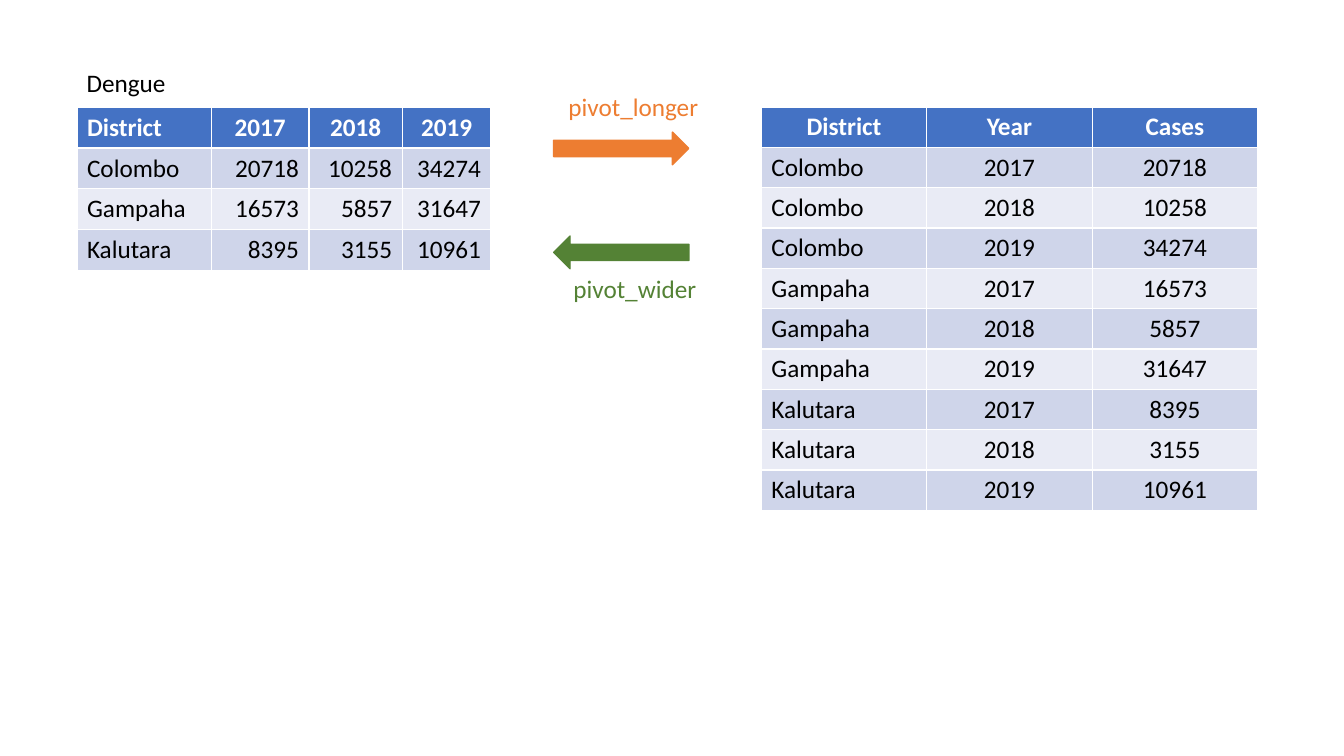
"""Build a slide that shows dengue cases pivoted between wide and long tables."""
import pptx
import pptx.dml.color
import pptx.enum.shapes
import pptx.enum.text
import pptx.util

Pt = pptx.util.Pt
ALIGN = pptx.enum.text.PP_ALIGN
BLUE, ORANGE, GREEN = "4472C4", "ED7D31", "548235"
BLACK, WHITE = "000000", "FFFFFF"
BANDS = ["CFD5EA", "E9EBF5"]


def paint(color_format, color):
    color_format.rgb = pptx.dml.color.RGBColor.from_string(color)


def write(frame, text, color=BLACK, bold=False, align=ALIGN.LEFT):
    paragraph = frame.paragraphs[0]
    paragraph.alignment = align
    run = paragraph.add_run()
    run.text = text
    run.font.name = "Calibri"
    run.font.size = Pt(18)
    run.font.bold = bold
    paint(run.font.color, color)


deck = pptx.Presentation()
deck.slide_width, deck.slide_height = Pt(960), Pt(540)
slide = deck.slides.add_slide(deck.slide_layouts[6])

years = ["2017", "2018", "2019"]
cases = {
    "Colombo": ["20718", "10258", "34274"],
    "Gampaha": ["16573", "5857", "31647"],
    "Kalutara": ["8395", "3155", "10961"],
}
wide = [["District", *years]] + [[district, *counts] for district, counts in cases.items()]
long = [["District", "Year", "Cases"]] + [
    [district, year, count]
    for district, counts in cases.items()
    for year, count in zip(years, counts)
]

for rows, left, widths, row_height, margin, corner_align, value_align in [
    (wide, 55, [96, 69.8, 66.5, 63.5], 29.16, 3.6, ALIGN.LEFT, ALIGN.RIGHT),
    (long, 543.8, [118.2] * 3, 28.8, 3.4, ALIGN.CENTER, ALIGN.CENTER),
]:
    table = slide.shapes.add_table(
        len(rows), len(widths), Pt(left), Pt(76.5), Pt(sum(widths)), Pt(row_height * len(rows))
    ).table
    for column, width in zip(table.columns, widths):
        column.width = Pt(width)
    for r, values in enumerate(rows):
        table.rows[r].height = Pt(row_height)
        header = r == 0
        for c, value in enumerate(values):
            cell = table.cell(r, c)
            cell.margin_top = cell.margin_bottom = Pt(margin)
            cell.fill.solid()
            paint(cell.fill.fore_color, BLUE if header else BANDS[(r - 1) % 2])
            if c == 0:
                align = corner_align if header else ALIGN.LEFT
            else:
                align = ALIGN.CENTER if header else value_align
            write(cell.text_frame, value, color=WHITE if header else BLACK, bold=header, align=align)

for top, color, rotation in [(94.4, ORANGE, 0), (168.6, GREEN, 180)]:
    arrow = slide.shapes.add_shape(
        pptx.enum.shapes.MSO_SHAPE.RIGHT_ARROW, Pt(395.5), Pt(top), Pt(96.5), Pt(23.3)
    )
    arrow.rotation = rotation
    arrow.shadow.inherit = False
    arrow.fill.solid()
    paint(arrow.fill.fore_color, color)
    paint(arrow.line.color, color)
    arrow.line.width = Pt(1)

for text, left, top, width, color, wrap in [
    ("Dengue", 54.8, 44.2, 72, BLACK, False),
    ("pivot_longer", 399, 62, 116, ORANGE, True),
    ("pivot_wider", 402.5, 191.7, 118, GREEN, True),
]:
    frame = slide.shapes.add_textbox(Pt(left), Pt(top), Pt(width), Pt(29.1)).text_frame
    frame.word_wrap = wrap
    frame.auto_size = pptx.enum.text.MSO_AUTO_SIZE.SHAPE_TO_FIT_TEXT
    write(frame, text, color=color)

deck.save("out.pptx")
